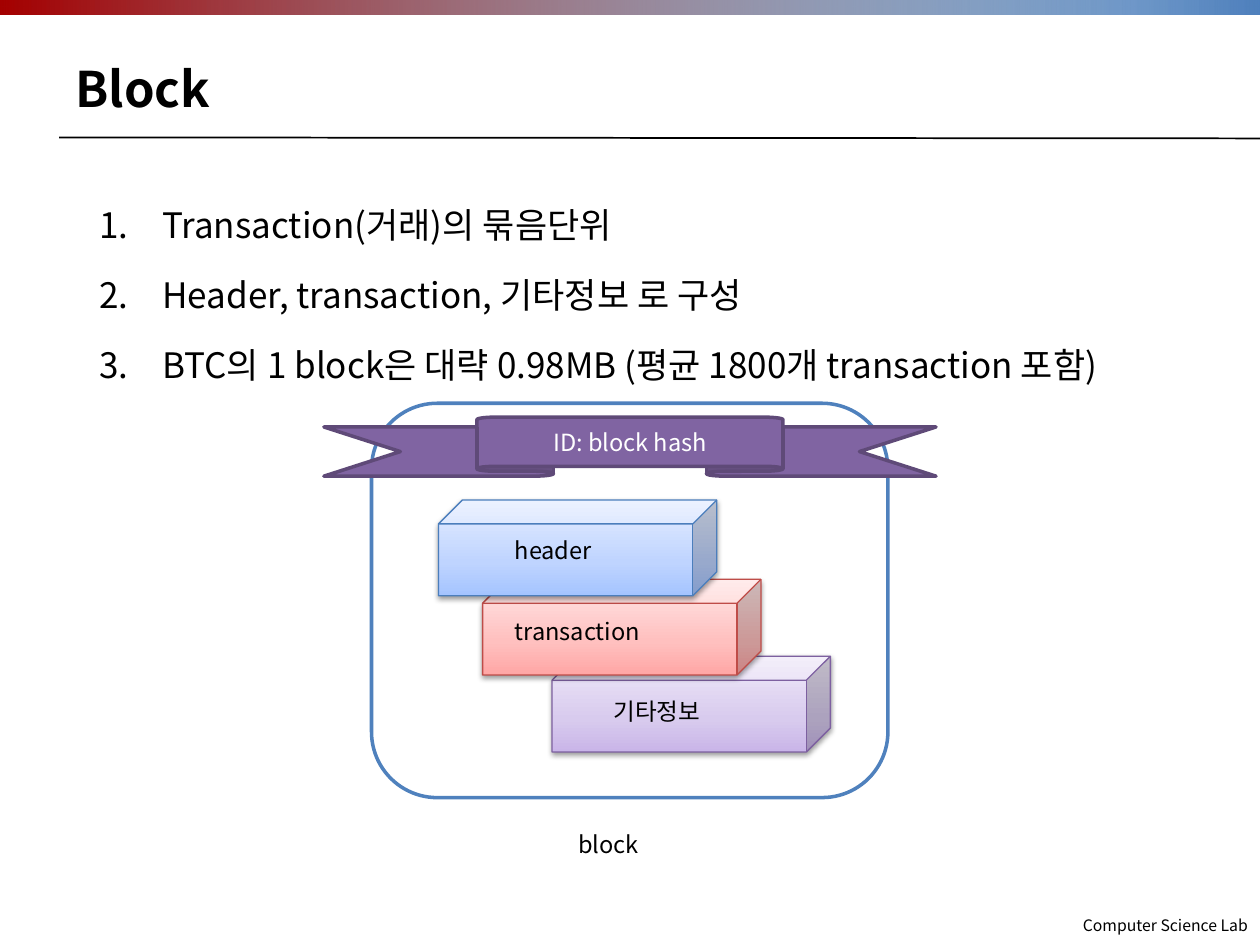
from lxml.etree import SubElement
from pptx import Presentation
from pptx.dml.color import RGBColor
from pptx.enum.shapes import MSO_CONNECTOR, MSO_SHAPE
from pptx.enum.text import MSO_ANCHOR, MSO_AUTO_SIZE, PP_ALIGN
from pptx.oxml.ns import qn
from pptx.util import Cm, Pt

FONT = "Noto Sans CJK KR"
BLACK = RGBColor(0x00, 0x00, 0x00)
WHITE = RGBColor(0xFF, 0xFF, 0xFF)
BLUE = RGBColor(0x4F, 0x81, 0xBD)
PALE = RGBColor(0xF2, 0xF4, 0xF8)
RED = RGBColor(0xA4, 0x00, 0x00)
NAVY = RGBColor(0x16, 0x34, 0x59)
PURPLE = RGBColor(0x80, 0x64, 0xA2)
DARK_PURPLE = RGBColor(0x5F, 0x4A, 0x78)
VIOLET_EDGE = RGBColor(0x7D, 0x60, 0xA0)
VIOLETS = RGBColor(0xC9, 0xB5, 0xE8), RGBColor(0xD8, 0xCB, 0xEE), RGBColor(0xF0, 0xEA, 0xF9)
ROSE_EDGE = RGBColor(0xBF, 0x4C, 0x48)
ROSES = RGBColor(0xFF, 0xA6, 0xA5), RGBColor(0xFF, 0xC0, 0xBF), RGBColor(0xFF, 0xE7, 0xE7)
SKY_EDGE = RGBColor(0x4B, 0x7E, 0xBC)
SKIES = RGBColor(0xA4, 0xC4, 0xFF), RGBColor(0xBF, 0xD4, 0xFF), RGBColor(0xE6, 0xEE, 0xFF)

FACTS = (
    "Transaction(거래)의 묶음단위",
    "Header, transaction, 기타정보 로 구성",
    "BTC의 1 block은 대략 0.98MB (평균 1800개 transaction 포함)",
)
PARTS = (
    ("기타정보", (11.13, 13.23), (12.12, 13.92), VIOLETS, VIOLET_EDGE),
    ("transaction", (9.73, 11.68), (10.13, 12.32), ROSES, ROSE_EDGE),
    ("header", (8.84, 10.08), (10.13, 10.67), SKIES, SKY_EDGE),
)


def cms(*lengths):
    """Turn numbers into centimetre lengths."""
    return [Cm(length) for length in lengths]


def style_text(paragraph, size, color=BLACK, bold=False, align=PP_ALIGN.LEFT):
    """Format a paragraph and its runs."""
    paragraph.alignment = align
    for run in paragraph.runs:
        run.font.size = Pt(size)
        run.font.bold = bold
        run.font.color.rgb = color
        run.font.name = FONT
        SubElement(run.font._element, qn("a:ea"), typeface=FONT)


def place(placeholder, box):
    """Move a placeholder and keep its text at a fixed size."""
    placeholder.left, placeholder.top, placeholder.width, placeholder.height = cms(*box)
    placeholder.text_frame.word_wrap = True
    placeholder.text_frame.auto_size = MSO_AUTO_SIZE.NONE


def add_heading(slide, text):
    """Fill the title placeholder."""
    heading = slide.shapes.title
    place(heading, (1.27, 0.76, 23.72, 2.01))
    heading.text_frame.text = text
    heading.text_frame.vertical_anchor = MSO_ANCHOR.MIDDLE
    style_text(heading.text_frame.paragraphs[0], 28, bold=True)


def add_numbered_list(slide, items):
    """Fill the body placeholder with numbered items."""
    body = slide.placeholders[1]
    place(body, (1.75, 3.56, 21.89, 9.07))
    frame = body.text_frame
    frame.text = "\n".join(items)
    for paragraph in frame.paragraphs:
        paragraph.line_spacing = 1.5
        paragraph.space_before = Pt(4)
        style_text(paragraph, 20)
        properties = paragraph._p.get_or_add_pPr()
        properties.set("marL", str(Cm(1.27)))
        properties.set("indent", str(-Cm(1.27)))
        SubElement(properties, qn("a:buFont"), typeface="+mj-lt")
        SubElement(properties, qn("a:buAutoNum"), type="arabicPeriod")


def add_label(slide, text, box, size=13.5, align=PP_ALIGN.LEFT, anchor=MSO_ANCHOR.TOP):
    """Add a plain text box."""
    frame = slide.shapes.add_textbox(*cms(*box)).text_frame
    frame.word_wrap = True
    frame.vertical_anchor = anchor
    frame.text = text
    style_text(frame.paragraphs[0], size, align=align)


def add_figure(slide, preset, box, fill=None, edge=None, weight=2):
    """Add a preset shape with no shadow."""
    figure = slide.shapes.add_shape(preset, *cms(*box))
    figure.shadow.inherit = False
    if fill is not None:
        figure.fill.solid()
        figure.fill.fore_color.rgb = fill
    if edge is None:
        figure.line.fill.background()
    else:
        figure.line.color.rgb = edge
        figure.line.width = Pt(weight)
    return figure


def fill_gradient(figure, stops, angle=0):
    """Fill with stops of position, colour and opacity in percent."""
    figure.fill.gradient()
    figure.fill.gradient_angle = angle
    stop_list = figure._element.spPr.find(qn("a:gradFill")).find(qn("a:gsLst"))
    for old_stop in list(stop_list):
        stop_list.remove(old_stop)
    for position, color, opacity in stops:
        stop = SubElement(stop_list, qn("a:gs"), pos=str(position * 1000))
        shade = SubElement(stop, qn("a:srgbClr"), val=str(color))
        if opacity < 100:
            SubElement(shade, qn("a:alpha"), val=str(opacity * 1000))


def cast_shadow(figure):
    """Give a figure a soft shadow below it."""
    effects = figure._element.spPr.find(qn("a:effectLst"))
    shadow = SubElement(effects, qn("a:outerShdw"), blurRad=str(Pt(3.1)),
                        dist=str(Pt(1.6)), dir="5400000", rotWithShape="0")
    shade = SubElement(shadow, qn("a:srgbClr"), val=str(BLACK))
    SubElement(shade, qn("a:alpha"), val="38000")


def add_frame(slide):
    """Add the top band, the rule under the title and the footer."""
    for width, stops in (
        (25.4, ((0, PALE, 0), (100, BLUE, 100))),
        (22.86, ((0, RED, 100), (100, NAVY, 0))),
    ):
        band = add_figure(slide, MSO_SHAPE.RECTANGLE, (0, 0, width, 0.3))
        fill_gradient(band, stops)
    rule = slide.shapes.add_connector(MSO_CONNECTOR.STRAIGHT, *cms(1.19, 2.77, 25.4, 2.79))
    rule.line.color.rgb = BLACK
    rule.line.width = Pt(1)
    SubElement(rule._element.spPr, qn("a:effectLst"))
    add_label(slide, "Computer Science Lab", (14.88, 18.26, 10.52, 0.79), 9,
              PP_ALIGN.RIGHT, MSO_ANCHOR.MIDDLE)


def add_part(slide, name, corner, name_corner, colors, edge):
    """Add one labelled cube of the block."""
    cube = add_figure(slide, MSO_SHAPE.CUBE, (*corner, 5.61, 1.93), edge=edge, weight=0.75)
    fill_gradient(cube, zip((0, 35, 100), colors, (100, 100, 100)), angle=90)
    cast_shadow(cube)
    add_label(slide, name, (*name_corner, 4, 1.17))


def add_block(slide):
    """Draw the block with its parts, caption and ribbon."""
    add_figure(slide, MSO_SHAPE.ROUNDED_RECTANGLE, (7.49, 8.13, 10.41, 7.95), WHITE, BLUE)
    for part in PARTS:
        add_part(slide, *part)
    add_label(slide, "block", (11, 16.61, 2.54, 0.84), align=PP_ALIGN.CENTER)
    ribbon = add_figure(slide, MSO_SHAPE.UP_RIBBON, (6.53, 8.41, 12.34, 1.19),
                        PURPLE, DARK_PURPLE)
    ribbon.text_frame.text = "ID: block hash"
    ribbon.text_frame.vertical_anchor = MSO_ANCHOR.MIDDLE
    style_text(ribbon.text_frame.paragraphs[0], 13.5, WHITE, align=PP_ALIGN.CENTER)


def main():
    """Build and save the slide."""
    deck = Presentation()
    deck.slide_width, deck.slide_height = cms(25.4, 19.05)
    slide = deck.slides.add_slide(deck.slide_layouts[1])
    add_frame(slide)
    add_heading(slide, "Block")
    add_numbered_list(slide, FACTS)
    add_block(slide)
    deck.save("out.pptx")


if __name__ == "__main__":
    main()
